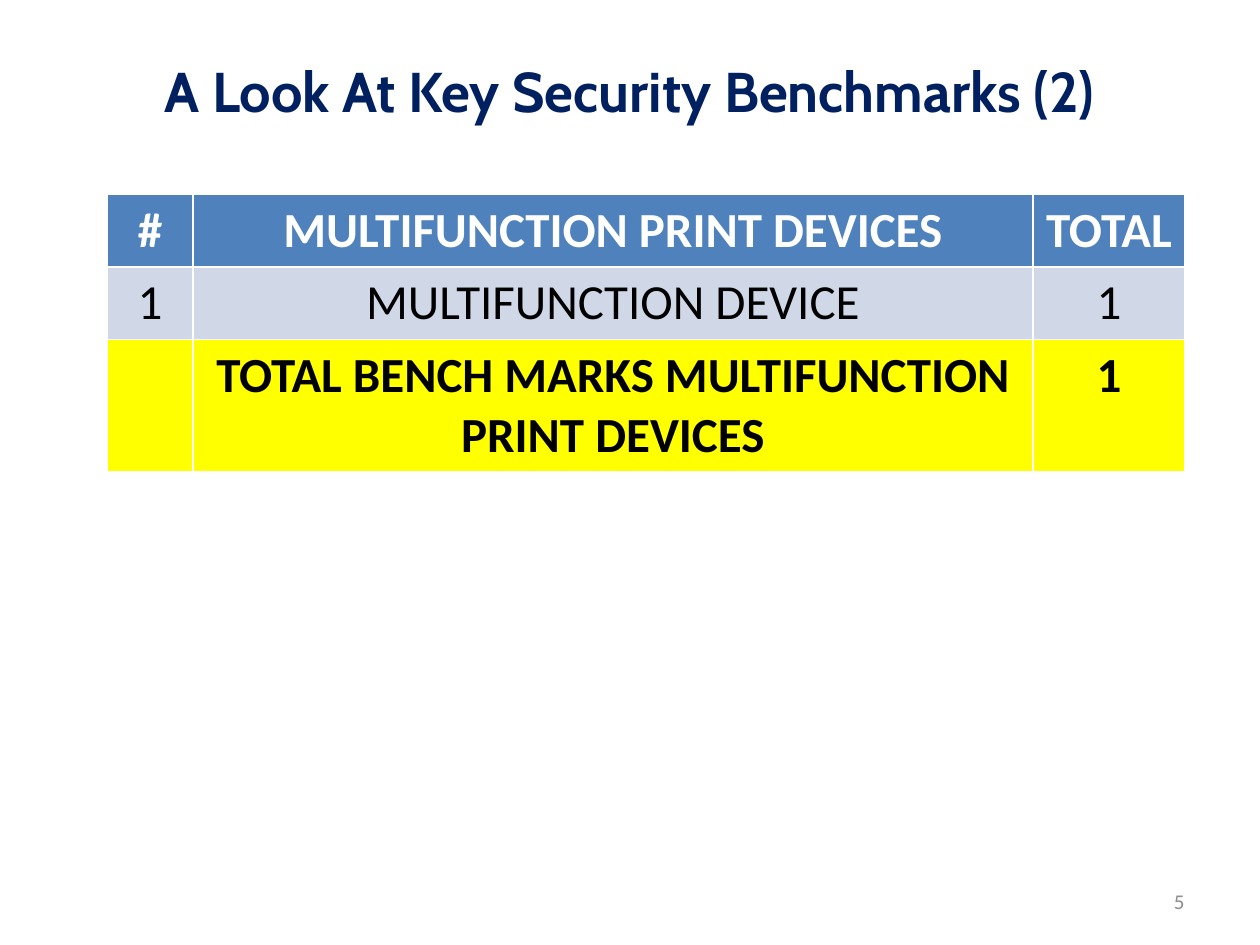
import pptx
import pptx.dml.color
import pptx.enum.text
import pptx.util

Pt = pptx.util.Pt
ALIGN = pptx.enum.text.PP_ALIGN
MIDDLE = pptx.enum.text.MSO_ANCHOR.MIDDLE

TITLE = "A Look At Key Security Benchmarks (2)"
PAGE_NUMBER = "5"
COLUMN_WIDTHS = [49, 480, 87]
ROWS = [
    {"cells": ["#", "MULTIFUNCTION PRINT DEVICES", "TOTAL"],
     "height": 41, "fill": "4F81BD", "color": "FFFFFF", "bold": True},
    {"cells": ["1", "MULTIFUNCTION DEVICE", "1"],
     "height": 41, "fill": "D0D8E8", "color": "000000", "bold": False},
    {"cells": ["", "TOTAL BENCH MARKS MULTIFUNCTION PRINT DEVICES", "1"],
     "height": 74, "fill": "FFFF00", "color": "000000", "bold": True},
]


def rgb(value):
    return pptx.dml.color.RGBColor.from_string(value)


def write(tf, text, size=28, font="Calibri", color="000000", bold=False,
          align=ALIGN.CENTER):
    p = tf.paragraphs[0]
    p.alignment = align
    if not text:
        return
    r = p.add_run()
    r.text = text
    r.font.size = Pt(size)
    r.font.name = font
    r.font.bold = bold
    r.font.color.rgb = rgb(color)


def place(sp, left, top, width, height):
    sp.left, sp.top, sp.width, sp.height = map(Pt, (left, top, width, height))


def add_title(s):
    sp = s.shapes.title
    place(sp, 36, 16.5, 648, 70.5)
    sp.text_frame.vertical_anchor = MIDDLE
    write(sp.text_frame, TITLE, size=32, font="Cabin", color="002060", bold=True)


def add_benchmark_table(s):
    width = sum(COLUMN_WIDTHS)
    height = sum(row["height"] for row in ROWS)
    table = s.shapes.add_table(len(ROWS), len(COLUMN_WIDTHS), Pt(61.2), Pt(111),
                               Pt(width), Pt(height)).table
    for column, column_width in zip(table.columns, COLUMN_WIDTHS):
        column.width = Pt(column_width)
    for table_row, row in zip(table.rows, ROWS):
        table_row.height = Pt(row["height"])
        for cell, text in zip(table_row.cells, row["cells"]):
            cell.fill.solid()
            cell.fill.fore_color.rgb = rgb(row["fill"])
            write(cell.text_frame, text, color=row["color"], bold=row["bold"])


def add_page_number(s):
    tf = s.shapes.add_textbox(Pt(516), Pt(500.5), Pt(168), Pt(28.75)).text_frame
    tf.word_wrap = True
    tf.vertical_anchor = MIDDLE
    write(tf, PAGE_NUMBER, size=12, color="8C8C8C", align=ALIGN.RIGHT)


def main():
    prs = pptx.Presentation()
    prs.slide_width, prs.slide_height = Pt(720), Pt(540)
    s = prs.slides.add_slide(prs.slide_layouts[5])
    add_title(s)
    add_benchmark_table(s)
    add_page_number(s)
    prs.save("out.pptx")


if __name__ == "__main__":
    main()
